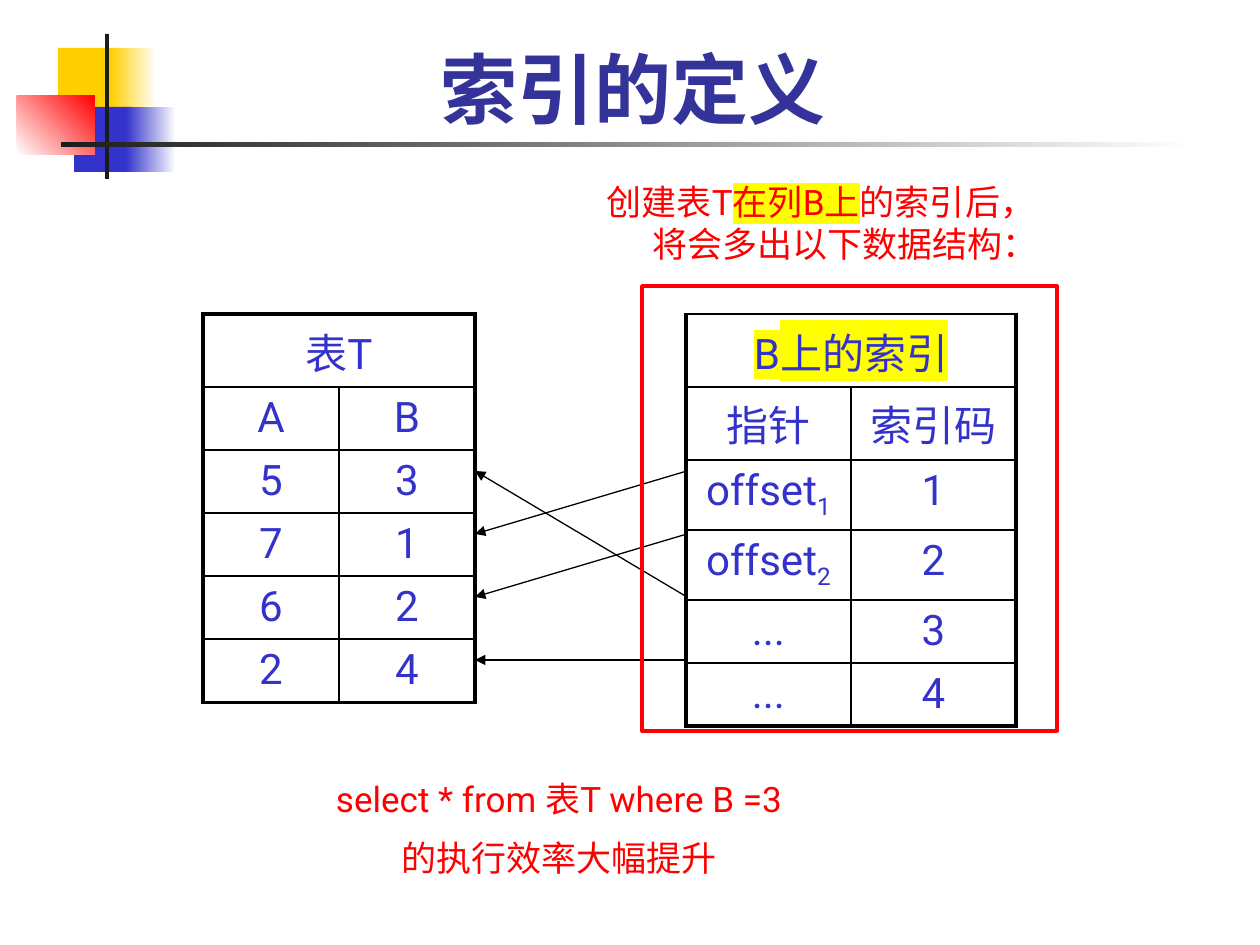
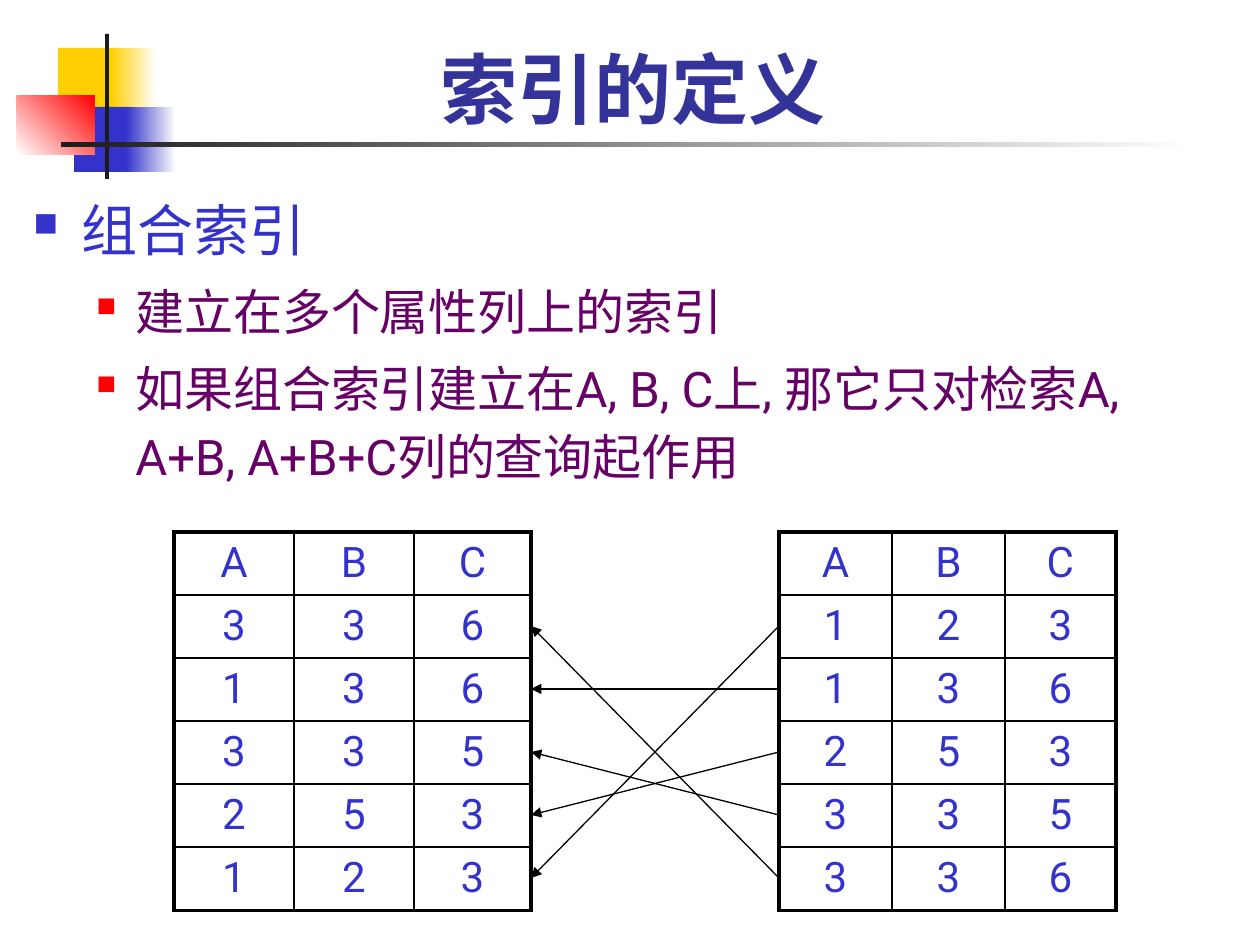
from lxml import etree
from pptx import Presentation
from pptx import util as u
from pptx.dml.color import RGBColor
from pptx.enum import lang, shapes, text
from pptx.oxml.ns import qn

PX = 914400 / 126
FONT = "Roboto"
BLACK = RGBColor(0x00, 0x00, 0x00)
WHITE = RGBColor(0xFF, 0xFF, 0xFF)
INK = RGBColor(0x1C, 0x1C, 0x1C)
YELLOW = RGBColor(0xFF, 0xCF, 0x01)
BLUE = RGBColor(0x33, 0x33, 0xCC)
RED = RGBColor(0xFF, 0x00, 0x00)
TITLE_BLUE = RGBColor(0x33, 0x33, 0x99)
PURPLE = RGBColor(0x66, 0x00, 0x66)
MARKER = RGBColor(0xFF, 0xFF, 0x00)

THICK, THIN = 2.25, 1
ROW, CJK_ROW = 62, 73
ARROW_STEP = 63


def px(length):
    return u.Emu(round(length * PX))


def box(*lengths):
    return [px(length) for length in lengths]


def add_color(parent, tag, color):
    holder = etree.SubElement(parent, qn(tag))
    etree.SubElement(holder, qn("a:srgbClr"), val=str(color))
    return holder


def write(paragraph, content, size=24, color=BLUE, bold=False, highlight=None,
          baseline=None, east_asian=None):
    """Append one formatted run to the paragraph."""
    run = paragraph.add_run()
    run.text = content
    font = run.font
    font.size, font.bold = u.Pt(size), bold
    font.color.rgb = color
    font.language_id = lang.MSO_LANGUAGE_ID.SIMPLIFIED_CHINESE
    properties = run._r.get_or_add_rPr()
    if highlight is not None:
        add_color(properties, "a:highlight", highlight)
    font.name = FONT
    if east_asian:
        etree.SubElement(properties, qn("a:ea"), typeface=east_asian)
    if baseline:
        properties.set("baseline", str(baseline * 1000))


def write_box(paragraph, content, **formats):
    write(paragraph, content, east_asian=FONT, **formats)


def add_text_frame(slide, bounds, anchor=text.MSO_ANCHOR.TOP):
    frame = slide.shapes.add_textbox(*box(*bounds)).text_frame
    frame.word_wrap = True
    frame.vertical_anchor = anchor
    return frame


def next_paragraph(frame, space_before=0):
    """Return the empty first paragraph, or a new one with space before it."""
    if not frame.paragraphs[0].runs:
        return frame.paragraphs[0]
    paragraph = frame.add_paragraph()
    paragraph.space_before = u.Pt(space_before)
    return paragraph


def set_indent(paragraph, margin, hanging):
    properties = paragraph._p.get_or_add_pPr()
    properties.set("marL", str(px(margin)))
    properties.set("indent", str(-px(hanging)))
    return properties


def add_rect(slide, bounds, fill=None, fade_to=None, angle=0, line=None):
    shape = slide.shapes.add_shape(shapes.MSO_SHAPE.RECTANGLE, *box(*bounds))
    shape.shadow.inherit = False
    if fade_to is not None:
        shape.fill.gradient()
        shape.fill.gradient_angle = angle
        for stop, color in zip(shape.fill.gradient_stops, (fill, fade_to)):
            stop.color.rgb = color
    elif fill is not None:
        shape.fill.solid()
        shape.fill.fore_color.rgb = fill
    else:
        shape.fill.background()
    if line is not None:
        shape.line.color.rgb = line
        shape.line.width = u.Pt(2)
    else:
        shape.line.fill.background()


def add_header(slide, title):
    """Draw the coloured blocks, the crossing rules and the title."""
    add_rect(slide, (58, 48, 61, 65), YELLOW)
    add_rect(slide, (111, 48, 45, 65), YELLOW, WHITE)
    add_rect(slide, (74, 107, 58, 65), BLUE)
    add_rect(slide, (126, 107, 50, 65), BLUE, WHITE)
    add_rect(slide, (17, 96, 78, 59), WHITE, RED, angle=45)
    add_rect(slide, (105, 34, 4, 145), INK)
    add_rect(slide, (61, 142, 1134, 5), INK, WHITE)
    frame = add_text_frame(slide, (49, 23, 1169, 117), text.MSO_ANCHOR.BOTTOM)
    paragraph = frame.paragraphs[0]
    paragraph.alignment = text.PP_ALIGN.CENTER
    write_box(paragraph, title, size=44, color=TITLE_BLUE, bold=True)


def set_borders(cell, **widths):
    """Set the cell's borders; widths are given as L, R, T and B in points."""
    properties = cell._tc.get_or_add_tcPr()
    for index, side in enumerate("LRTB"):
        line = etree.Element(qn("a:ln" + side), w=str(u.Pt(widths[side])))
        add_color(line, "a:solidFill", BLACK)
        properties.insert(index, line)


def add_grid(slide, left, top, columns, heights, rows, caption=None,
             highlight=None, top_border=THICK):
    """Draw a framed table; a caption spans all columns of an extra first row."""
    if caption:
        rows = [[caption] + [""] * (len(columns) - 1)] + rows
    table = slide.shapes.add_table(
        len(rows), len(columns),
        *box(left, top, sum(columns), sum(heights))).table
    table.first_row = table.horz_banding = False
    for column, width in zip(table.columns, columns):
        column.width = px(width)
    for row, height in zip(table.rows, heights):
        row.height = px(height)
    last_row, last_column = len(rows) - 1, len(columns) - 1
    for r, values in enumerate(rows):
        for c, value in enumerate(values):
            cell = table.cell(r, c)
            cell.fill.background()
            spanning = bool(caption) and r == 0
            set_borders(cell, L=THIN if c else THICK,
                        R=THICK if c == last_column or spanning else THIN,
                        T=THIN if r else top_border,
                        B=THICK if r == last_row else THIN)
            paragraph = cell.text_frame.paragraphs[0]
            paragraph.alignment = text.PP_ALIGN.CENTER
            name, _, subscript = value.partition("_")
            if name:
                write(paragraph, name, highlight=highlight if spanning else None)
            if subscript:
                write(paragraph, subscript, baseline=-25)
    if caption:
        table.cell(0, 0).merge(table.cell(0, last_column))


def add_arrows(slide, start_x, end_x, first_y, links):
    """Join index rows to data rows, both counted from first_y."""
    for index_row, data_row in links:
        start_y, end_y = (first_y + ARROW_STEP * row
                          for row in (index_row, data_row))
        arrow = slide.shapes.add_connector(
            shapes.MSO_CONNECTOR.STRAIGHT, *box(start_x, start_y, end_x, end_y))
        arrow.line.color.rgb = BLACK
        arrow.line.width = u.Pt(0.75)
        etree.SubElement(arrow.line._get_or_add_ln(), qn("a:tailEnd"),
                         type="triangle")
        etree.SubElement(arrow._element.spPr, qn("a:effectLst"))


def add_note(slide, bounds, paragraphs):
    """Add a centred red note; each paragraph is a list of (text, highlight)."""
    frame = add_text_frame(slide, bounds)
    for pieces in paragraphs:
        paragraph = next_paragraph(frame, space_before=10)
        paragraph.alignment = text.PP_ALIGN.CENTER
        set_indent(paragraph, 48, 48)
        for content, highlight in pieces:
            write_box(paragraph, content, size=20, color=RED,
                      highlight=highlight)


def add_bullet(frame, content, size, color, bullet_color, bullet_size, margin,
               hanging):
    paragraph = next_paragraph(frame, space_before=size * 0.2)
    paragraph.line_spacing = 1.15
    properties = set_indent(paragraph, margin, hanging)
    add_color(properties, "a:buClr", bullet_color)
    etree.SubElement(properties, qn("a:buSzPct"), val=str(bullet_size * 1000))
    etree.SubElement(properties, qn("a:buChar"), char="■")
    write_box(paragraph, content, size=size, color=color)


def build_single_index(slide):
    add_header(slide, "索引的定义")
    add_grid(slide, 203, 314, [136, 136], [CJK_ROW] + [ROW] * 5,
             [["A", "B"], ["5", "3"], ["7", "1"], ["6", "2"], ["2", "4"]],
             caption="表T")
    add_grid(slide, 686, 314, [165, 165],
             [CJK_ROW, CJK_ROW, 69, 68, ROW, ROW],
             [["指针", "索引码"], ["offset_1", "1"], ["offset_2", "2"],
              ["...", "3"], ["...", "4"]],
             caption="B上的索引", highlight=MARKER, top_border=THIN)
    add_arrows(slide, 687, 475, 471, [(0, 1), (1, 2), (2, 0), (3, 3)])
    add_note(slide, (232, 771, 654, 118),
             [[("select * from 表T where B =3", None)],
              [("的执行效率大幅提升", None)]])
    add_rect(slide, (642, 286, 415, 445), line=RED)
    add_note(slide, (581, 174, 480, 97),
             [[("创建表T", None), ("在列B上", MARKER),
               ("的索引后，将会多出以下数据结构：", None)]])


def build_combined_index(slide):
    add_header(slide, "索引的定义")
    frame = add_text_frame(slide, (21, 179, 1213, 330))
    add_bullet(frame, "组合索引", 32, BLUE, BLUE, 60, 48, 48)
    for content in (
            "建立在多个属性列上的索引",
            "如果组合索引建立在A, B, C上, 那它只对检索A, A+B, A+B+C列的查询起作用"):
        add_bullet(frame, content, 28, PURPLE, RED, 55, 102, 39)
    heights = [ROW] * 6
    data = ["ABC", "336", "136", "335", "253", "123"]
    index = data[:1] + sorted(data[1:])
    for left, columns, records in ((174, [120, 120, 117], data),
                                   (779, [113, 113, 111], index)):
        add_grid(slide, left, 532, columns, heights,
                 [list(record) for record in records])
    add_arrows(slide, 779, 531, 626,
               [(row, data.index(record) - 1)
                for row, record in enumerate(index[1:])])


def main():
    presentation = Presentation()
    presentation.slide_width, presentation.slide_height = box(1260, 945)
    blank = presentation.slide_layouts[6]
    for build in (build_single_index, build_combined_index):
        build(presentation.slides.add_slide(blank))
    presentation.save("out.pptx")


if __name__ == "__main__":
    main()
